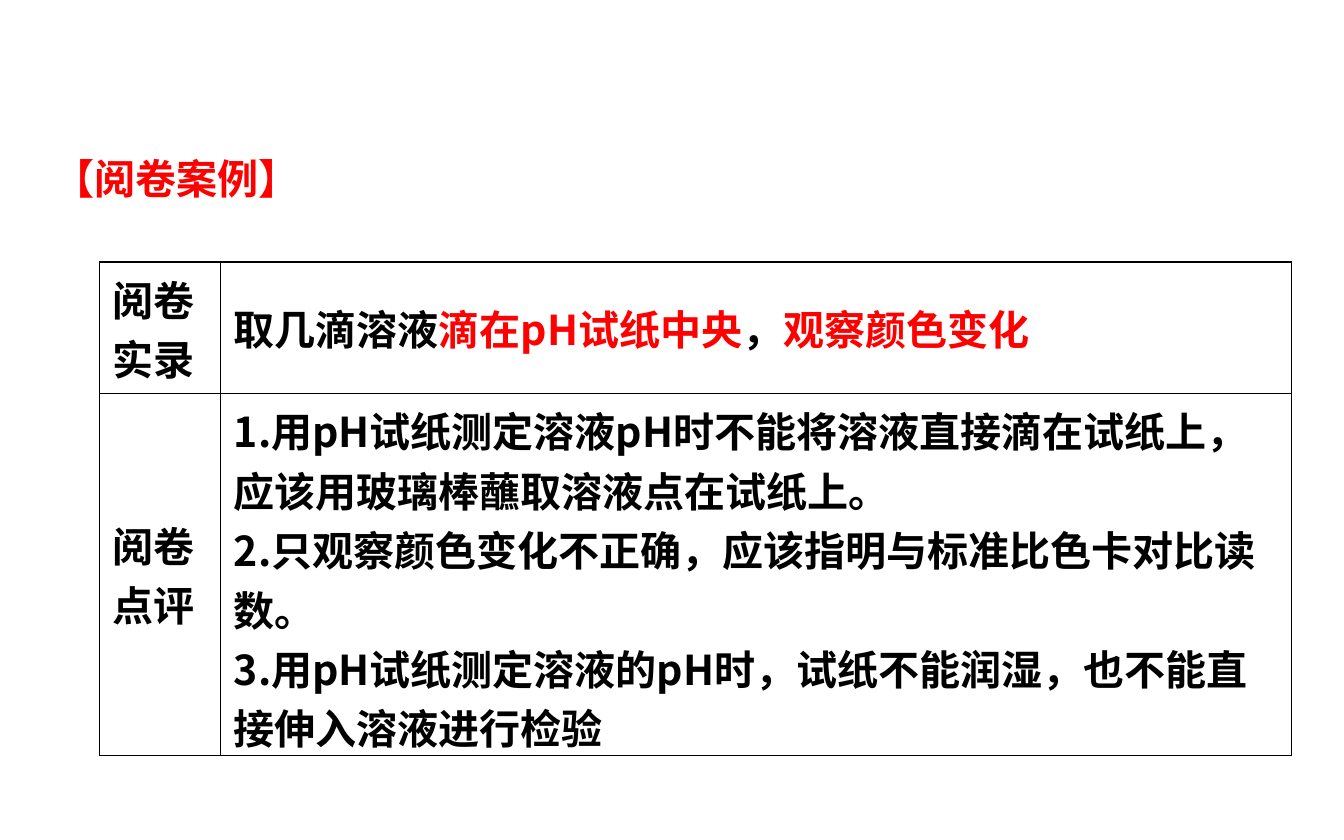
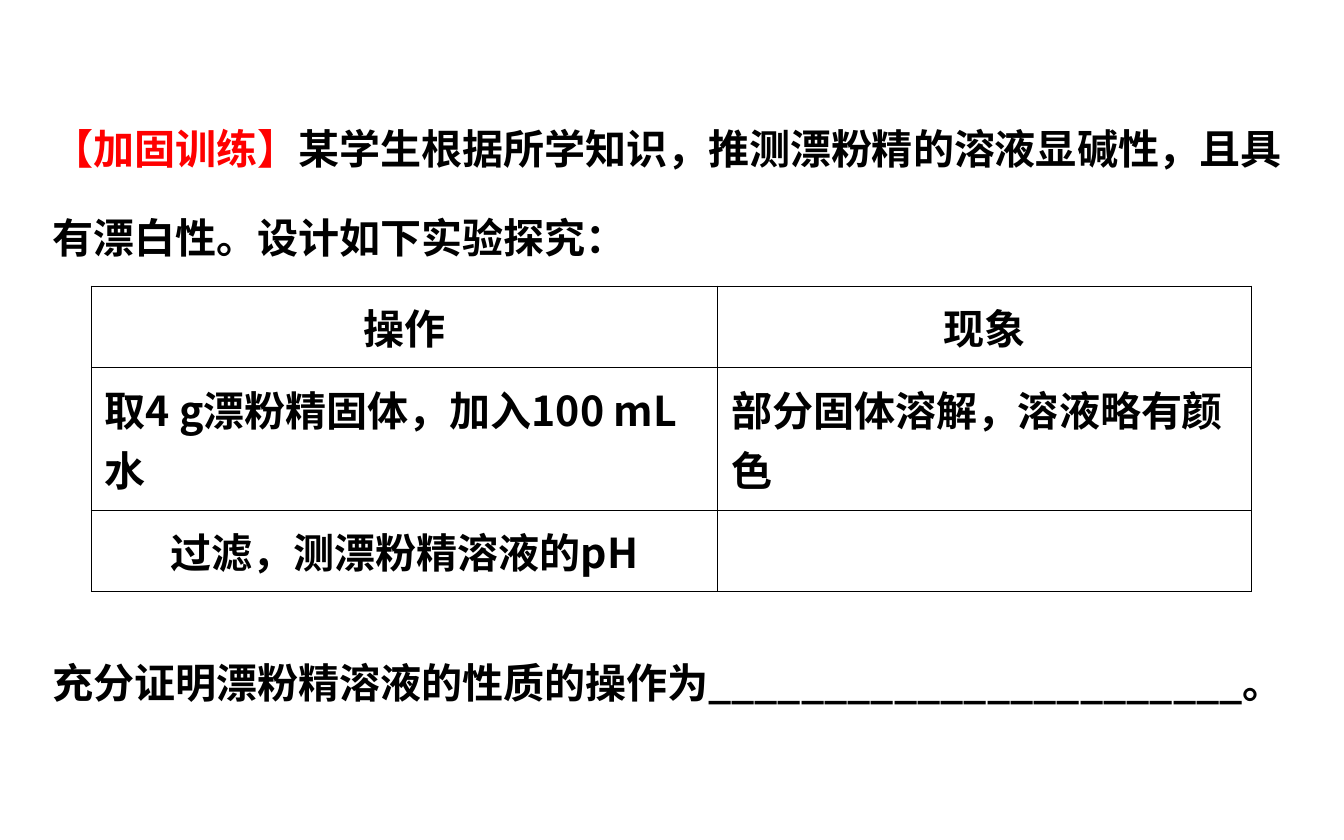
from dataclasses import dataclass

from lxml import etree
from pptx import Presentation
from pptx.dml.color import RGBColor
from pptx.enum.text import MSO_ANCHOR, MSO_AUTO_SIZE, PP_ALIGN
from pptx.oxml.ns import qn
from pptx.util import Inches, Pt

LEFT, CENTER = PP_ALIGN.LEFT, PP_ALIGN.CENTER
MIDDLE = MSO_ANCHOR.MIDDLE
GROW = MSO_AUTO_SIZE.SHAPE_TO_FIT_TEXT


@dataclass(frozen=True)
class Theme:
    font: str = "Noto Sans CJK SC"
    size: float = 22
    ink: str = "000000"
    accent: str = "FF0000"
    outer_line: float = 0.75
    inner_line: float = 0.45
    line_spacing: float = 1.8


theme = Theme()


def write(frame, paragraphs, align=LEFT):
    for index, pieces in enumerate(paragraphs):
        para = frame.paragraphs[0] if index == 0 else frame.add_paragraph()
        para.alignment = align
        para.font.size = Pt(theme.size)
        para.font.bold = True
        para.font.name = theme.font
        para.font.color.rgb = RGBColor.from_string(theme.ink)
        defaults = para._p.pPr.find(qn("a:defRPr"))
        etree.SubElement(defaults, qn("a:ea"), typeface=theme.font)
        for text, color in pieces:
            span = para.add_run()
            span.text = text
            if color != theme.ink:
                span.font.color.rgb = RGBColor.from_string(color)


def draw_border(cell, side, width):
    line = etree.SubElement(cell._tc.get_or_add_tcPr(), qn(f"a:ln{side}"), w=str(Pt(width)))
    fill = etree.SubElement(line, qn("a:solidFill"))
    etree.SubElement(fill, qn("a:srgbClr"), val=theme.ink)


pages = [
    {
        "box": (0.3, 0.8, 9.43, 0.76),
        "text": [[("【阅卷案例】", theme.accent)]],
        "gap": 0,
        "table": (0.74, 1.95),
        "columns": [0.9, 7.97],
        "rows": [0.98, 2.69],
        "centered": [],
        "cells": [
            [
                [[("阅卷", theme.ink)], [("实录", theme.ink)]],
                [[
                    ("取几滴溶液", theme.ink),
                    ("滴在pH试纸中央", theme.accent),
                    ("，", theme.ink),
                    ("观察颜色变化", theme.accent),
                ]],
            ],
            [
                [[("阅卷", theme.ink)], [("点评", theme.ink)]],
                [
                    [("1.用pH试纸测定溶液pH时不能将溶液直接滴在试纸上，应该用玻璃棒蘸取溶液点在试纸上。", theme.ink)],
                    [("2.只观察颜色变化不正确，应该指明与标准比色卡对比读数。", theme.ink)],
                    [("3.用pH试纸测定溶液的pH时，试纸不能润湿，也不能直接伸入溶液进行检验", theme.ink)],
                ],
            ],
        ],
    },
    {
        "box": (0.29, 0.58, 9.43, 4.72),
        "text": [
            [
                ("【加固训练】", theme.accent),
                ("某学生根据所学知识，推测漂粉精的溶液显碱性，且具有漂白性。设计如下实验探究：", theme.ink),
            ],
            [("充分证明漂粉精溶液的性质的操作为_______________________。", theme.ink)],
        ],
        "gap": 191,
        "table": (0.68, 2.13),
        "columns": [4.66, 3.97],
        "rows": [0.6, 1.07, 0.6],
        "centered": [0, 2],
        "cells": [
            [[[("操作", theme.ink)]], [[("现象", theme.ink)]]],
            [
                [[("取4 g漂粉精固体，加入100 mL水", theme.ink)]],
                [[("部分固体溶解，溶液略有颜色", theme.ink)]],
            ],
            [[[("过滤，测漂粉精溶液的pH", theme.ink)]], []],
        ],
    },
]

deck = Presentation()
deck.slide_width, deck.slide_height = Inches(10), Inches(6.25)

for content in pages:
    page = deck.slides.add_slide(deck.slide_layouts[6])

    box = page.shapes.add_textbox(*map(Inches, content["box"]))
    frame = box.text_frame
    frame.word_wrap = True
    frame.auto_size = GROW
    write(frame, content["text"])
    for index, para in enumerate(frame.paragraphs):
        para.line_spacing = theme.line_spacing
        if index > 0:
            para.space_before = Pt(content["gap"])

    columns, rows = content["columns"], content["rows"]
    left, top = content["table"]
    table = page.shapes.add_table(
        len(rows), len(columns), Inches(left), Inches(top), Inches(sum(columns)), Inches(sum(rows))
    ).table
    table.first_row = False
    table.horz_banding = False
    for column, width in zip(table.columns, columns):
        column.width = Inches(width)
    for row, height in zip(table.rows, rows):
        row.height = Inches(height)

    for row_index, row_cells in enumerate(content["cells"]):
        for column_index, paragraphs in enumerate(row_cells):
            cell = table.cell(row_index, column_index)
            cell.vertical_anchor = MIDDLE
            align = CENTER if row_index in content["centered"] else LEFT
            write(cell.text_frame, paragraphs, align)
            edges = {
                "L": column_index == 0,
                "R": column_index == len(columns) - 1,
                "T": row_index == 0,
                "B": row_index == len(rows) - 1,
            }
            for side, is_outer in edges.items():
                draw_border(cell, side, theme.outer_line if is_outer else theme.inner_line)
            cell.fill.background()

deck.save("out.pptx")
